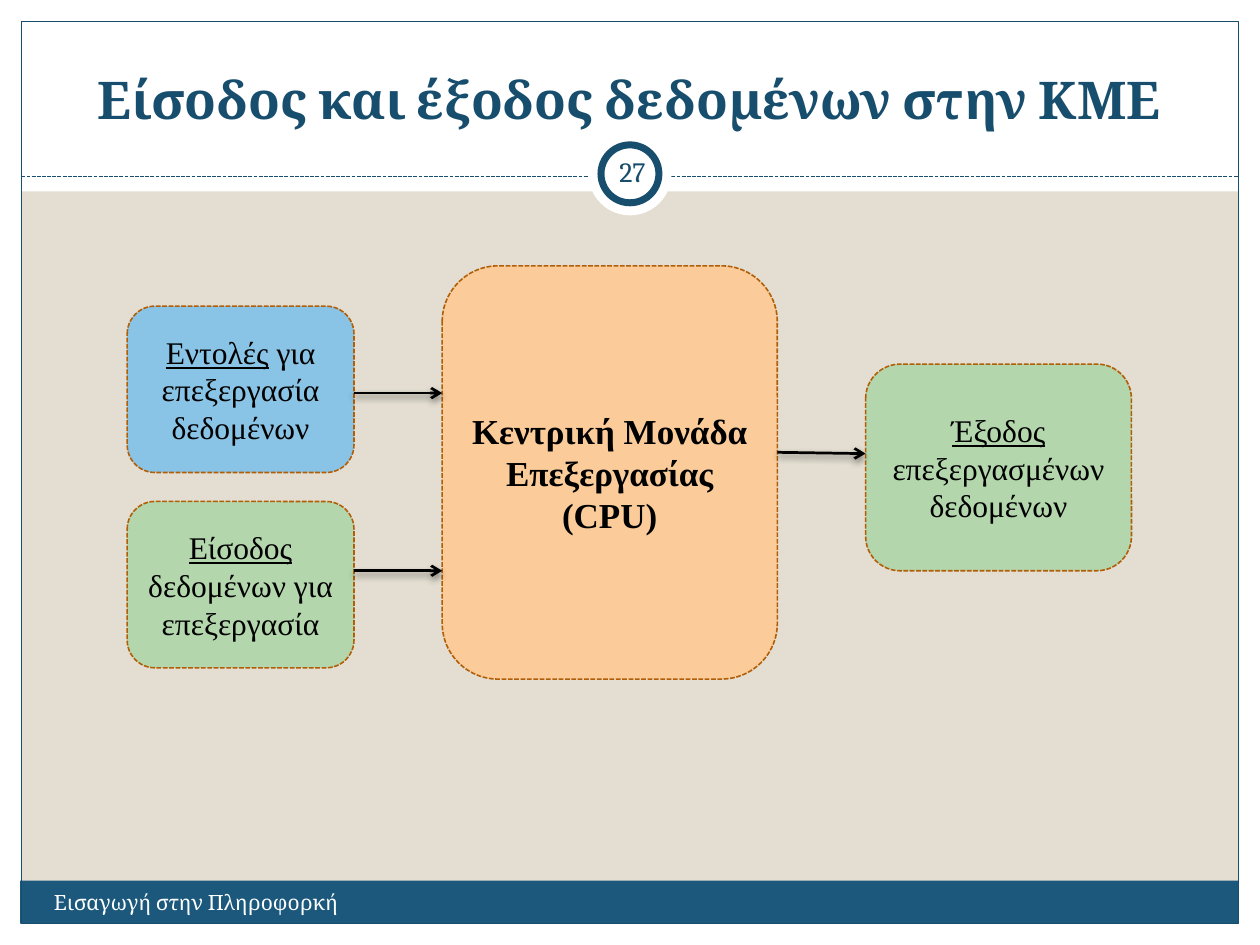
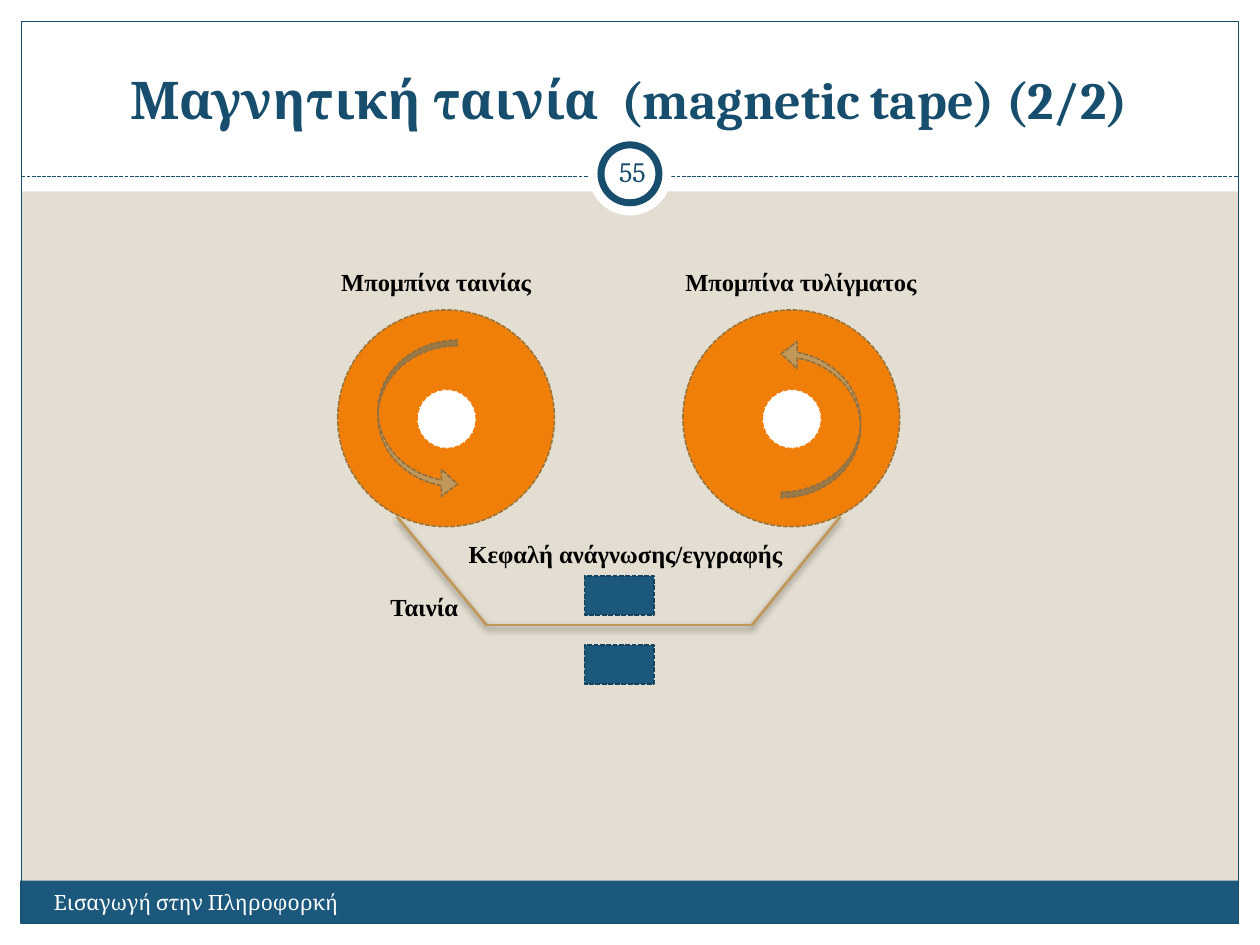
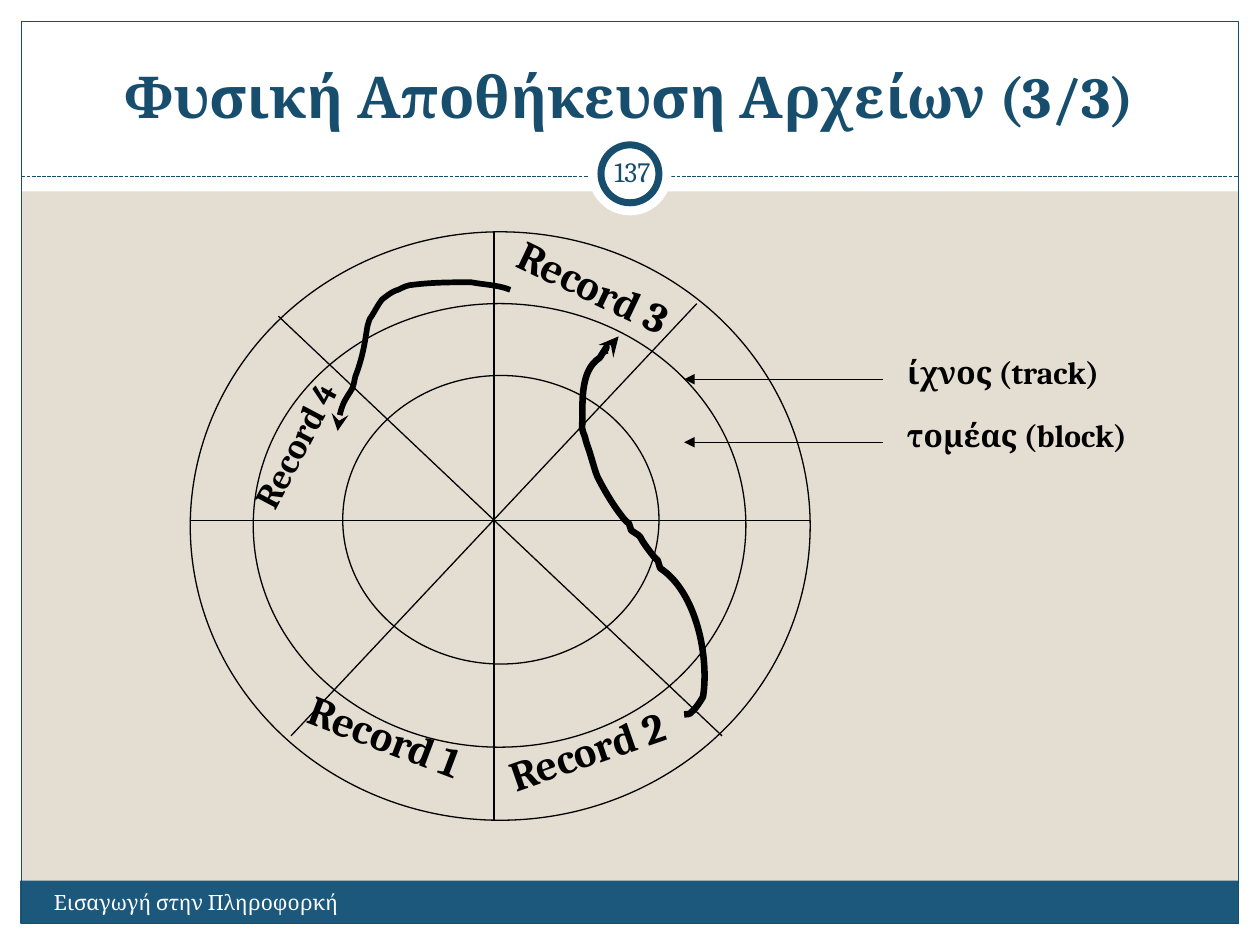
from lxml import etree
from pptx import Presentation
from pptx import util as u
from pptx.dml.color import RGBColor
from pptx.enum import dml, shapes, text
from pptx.oxml import parse_xml
from pptx.oxml.ns import nsdecls, qn

BLACK = RGBColor(0x00, 0x00, 0x00)
WHITE = RGBColor(0xFF, 0xFF, 0xFF)
SAND = RGBColor(0xE3, 0xDE, 0xD1)
NAVY = RGBColor(0x18, 0x4E, 0x6D)
BLUE = RGBColor(0x1B, 0x58, 0x7C)
DARK_BLUE = RGBColor(0x14, 0x41, 0x5C)
SKY = RGBColor(0x89, 0xC3, 0xE5)
GREEN = RGBColor(0xB3, 0xD6, 0xAC)
PEACH = RGBColor(0xFB, 0xCC, 0x9A)
RUST = RGBColor(0xB2, 0x5E, 0x07)
ORANGE = RGBColor(0xF0, 0x7F, 0x09)
TAN = RGBColor(0xC1, 0x98, 0x59)
REEL_EDGE = RGBColor(0x9A, 0x74, 0x3A)
ARROW_EDGE = RGBColor(0x8F, 0x70, 0x42)

SERIF, HEADING = "Times New Roman", "Cambria"
KIND = shapes.MSO_SHAPE
MIDDLE = text.MSO_ANCHOR.MIDDLE
GROW = text.MSO_AUTO_SIZE.SHAPE_TO_FIT_TEXT
CENTER = text.PP_ALIGN.CENTER
DASHED = dml.MSO_LINE.SQUARE_DOT
SOFT_SHADOW = (
    f'<a:effectLst {nsdecls("a")}><a:outerShdw blurRad="50800" dist="25400" dir="5400000">'
    '<a:srgbClr val="000000"><a:alpha val="45000"/></a:srgbClr></a:outerShdw></a:effectLst>'
)


def put(page, kind, at, fill=None, edge=None, weight=0.9, dash=DASHED,
        spans=(), font=None, ink=BLACK, align=None, frame=None):
    place = [u.Inches(value) for value in at]
    if kind is None:
        box = page.shapes.add_textbox(*place)
    else:
        box = page.shapes.add_shape(kind, *place)
        box.shadow.inherit = False
        for paint, color in ((box.fill, fill), (box.line.fill, edge)):
            if color is None:
                paint.background()
            else:
                paint.solid()
                paint.fore_color.rgb = color
        if edge is not None:
            box.line.width = u.Pt(weight)
            box.line.dash_style = dash
    if spans:
        for name, value in {"word_wrap": True, **(frame or {})}.items():
            setattr(box.text_frame, name, value)
        para = box.text_frame.paragraphs[0]
        para.alignment = align
        for words, underline in spans:
            span = para.add_run()
            span.text = words
            for name, value in {**font, "underline": underline}.items():
                setattr(span.font, name, value)
            span.font.color.rgb = ink
    return box


def finish(line, color, weight, tail=None, shadow=False):
    line.line.color.rgb = color
    line.line.width = u.Pt(weight)
    properties = line.element.spPr
    if tail:
        etree.SubElement(properties.find(qn("a:ln")), qn("a:tailEnd"), type=tail)
    properties.append(parse_xml(SOFT_SHADOW if shadow else f'<a:effectLst {nsdecls("a")}/>'))


deck = Presentation()
deck.slide_width, deck.slide_height = u.Inches(10), u.Inches(7.5)
layout = deck.slide_layouts[5]
layout.background.fill.solid()
layout.background.fill.fore_color.rgb = SAND

pages = []
for heading, size, number in (
    ("Είσοδος και έξοδος δεδομένων στην ΚΜΕ", 29.7, "27"),
    ("Μαγνητική ταινία  (magnetic tape) (2/2)", 29.7, "55"),
    ("Φυσική Αποθήκευση Αρχείων (3/3)", 33, "137"),
):
    page = deck.slides.add_slide(layout)
    pages.append(page)
    title = page.shapes.title
    for name, value in {"left": 0.33, "top": 0.25, "width": 9.33, "height": 0.83}.items():
        setattr(title, name, u.Inches(value))
    title.text_frame.text = heading
    title.text_frame.vertical_anchor = text.MSO_ANCHOR.BOTTOM
    title.text_frame.auto_size = text.MSO_AUTO_SIZE.NONE
    para = title.text_frame.paragraphs[0]
    para.alignment = CENTER
    for name, value in {"name": HEADING, "size": u.Pt(size), "bold": True}.items():
        setattr(para.font, name, value)
    para.font.color.rgb = NAVY
    put(page, None, (0.33, 7.01, 3.92, 0.4), spans=[("Εισαγωγή στην Πληροφορκή", None)],
        font={"name": HEADING, "size": u.Pt(12)}, ink=WHITE)
    margins = {f"margin_{side}": u.Inches(0.05) for side in ("left", "right", "top", "bottom")}
    put(page, None, (4.77, 1.12, 0.5, 0.48), spans=[(number, None)], align=CENTER, ink=NAVY,
        font={"name": HEADING, "size": u.Pt(16)}, frame={"vertical_anchor": MIDDLE, **margins})

cpu_page, tape_page, disk_page = pages

bands = [
    put(cpu_page, KIND.RECTANGLE, at, fill)
    for at, fill in (
        ((0, 7.33, 10, 0.17), WHITE),
        ((0, 0, 10, 1.52), WHITE),
        ((0, 0, 0.17, 7.5), WHITE),
        ((9.83, 0, 0.17, 7.5), WHITE),
        ((0.16, 6.99, 9.67, 0.34), BLUE),
    )
]
border = put(cpu_page, KIND.RECTANGLE, (0.17, 0.17, 9.66, 7.16), None, NAVY, 0.75, None)
rule = cpu_page.shapes.add_connector(
    shapes.MSO_CONNECTOR.STRAIGHT, *[u.Inches(value) for value in (0.17, 1.4, 9.83, 1.4)])
finish(rule, NAVY, 0.75)
rule.line.dash_style = DASHED
halo = put(cpu_page, KIND.OVAL, (4.67, 1.05, 0.66, 0.66), WHITE)
ring = put(cpu_page, KIND.OVAL, (4.77, 1.15, 0.46, 0.46), WHITE, NAVY, 4, None)
for part in (*bands, border, rule, halo, ring):
    layout.shapes.element.append(part.element)

for at, fill, size, bold, spans in (
    ((3.51, 2.11, 2.66, 3.28), PEACH, 20, True, [("Κεντρική Μονάδα Επεξεργασίας (CPU)", None)]),
    ((1.01, 2.43, 1.8, 1.32), SKY, 18, False, [("Εντολές", True), (" για επεξεργασία δεδομένων", None)]),
    ((1.01, 3.98, 1.8, 1.32), GREEN, 18, False, [("Είσοδος", True), (" δεδομένων για επεξεργασία", None)]),
    ((6.87, 2.89, 2.11, 1.64), GREEN, 18, False, [("Έξοδος", True), (" επεξεργασμένων δεδομένων", None)]),
):
    put(cpu_page, KIND.ROUNDED_RECTANGLE, at, fill, RUST, spans=spans, align=CENTER,
        font={"name": SERIF, "size": u.Pt(size), "bold": bold}, frame={"vertical_anchor": MIDDLE})

for left, arrow_left, turn in ((2.68, 3, 0), (5.42, 6.2, 180)):
    put(tape_page, KIND.OVAL, (left, 2.46, 1.72, 1.72), ORANGE, REEL_EDGE)
    put(tape_page, KIND.OVAL, (left + 0.63, 3.09, 0.47, 0.47), WHITE, ORANGE)
    arrow = put(tape_page, KIND.CURVED_RIGHT_ARROW, (arrow_left, 2.7, 0.63, 1.25), TAN, ARROW_EDGE)
    arrow.rotation = turn
    for index, value in enumerate((0.07, 0.34, 0.2)):
        arrow.adjustments[index] = value

for at in ((1.51, 1.84, 4.92, 4.67), (2.01, 2.41, 3.91, 3.52), (2.72, 2.98, 2.51, 2.29)):
    put(disk_page, KIND.OVAL, at, None, BLACK, 0.75, None)

for page, color, weight, tail, shadow, routes in (
    (cpu_page, BLACK, 1.57, "arrow", True,
     [(6.17, 3.59, 6.87, 3.6), (2.81, 3.12, 3.51, 3.12), (2.81, 4.53, 3.51, 4.53)]),
    (tape_page, TAN, 1.57, None, True,
     [(3.15, 4.1, 3.86, 4.96), (6.67, 4.1, 5.97, 4.96), (5.97, 4.96, 3.86, 4.96)]),
    (disk_page, BLACK, 0.75, None, False,
     [(3.92, 1.84, 3.92, 6.51), (1.51, 4.13, 6.43, 4.13), (2.21, 2.51, 5.73, 5.84), (2.31, 5.84, 5.53, 2.41)]),
    (disk_page, BLACK, 0.75, "triangle", False,
     [(7.01, 3.51, 5.43, 3.51), (7.01, 3.01, 5.43, 3.01)]),
):
    for route in routes:
        line = page.shapes.add_connector(
            shapes.MSO_CONNECTOR.STRAIGHT, *[u.Inches(value) for value in route])
        finish(line, color, weight, tail, shadow)

for top in (4.57, 5.12):
    put(tape_page, KIND.RECTANGLE, (4.64, top, 0.55, 0.31), BLUE, DARK_BLUE)

for words, left, top, width in (
    ("Μπομπίνα ταινίας", 2.61, 2.07, 1.72),
    ("Μπομπίνα τυλίγματος", 5.34, 2.07, 2.05),
    ("Κεφαλή ανάγνωσης/εγγραφής", 3.62, 4.23, 2.72),
    ("Ταινία", 3, 4.65, 0.75),
):
    put(tape_page, None, (left, top, width, 0.34), spans=[(words, None)],
        font={"name": SERIF, "size": u.Pt(14), "bold": True}, frame={"word_wrap": False, "auto_size": GROW})

for words, at, turn, size in (
    ("Record 1", (2.32, 5.65, 1.81, 0.5), 20.8, 24),
    ("Record 2", (3.91, 5.65, 1.81, 0.5), 340.8, 24),
    ("Record 3", (3.96, 2.09, 1.81, 0.5), 25.5, 24),
    ("Record 4", (1.58, 3.12, 1.72, 0.43), 297.8, 20),
    ("τομέας (block)", (7.1, 3.25, 2, 0.4), 0, 18),
    ("ίχνος (track)", (7.1, 2.75, 2, 0.4), 0, 18),
):
    label = put(disk_page, None, at, spans=[(words, None)], frame={"auto_size": GROW},
                font={"name": HEADING, "size": u.Pt(size), "bold": True})
    label.rotation = turn

for weight, start, curves in (
    (3.75, (5.43, 5.67), [
        ((5.45, 5.67), (5.48, 5.67), (5.49, 5.65)),
        ((5.53, 5.62), (5.58, 5.53), (5.58, 5.53)),
        ((5.63, 5.22), (5.53, 4.7), (5.24, 4.51)),
        ((5.2, 4.39), (5.25, 4.5), (5.16, 4.38)),
        ((5.03, 4.21), (5.13, 4.29), (5.01, 4.21)),
        ((4.97, 4.09), (5.02, 4.21), (4.93, 4.09)),
        ((4.86, 4), (4.79, 3.88), (4.74, 3.78)),
        ((4.71, 3.7), (4.69, 3.61), (4.66, 3.53)),
        ((4.65, 3.51), (4.65, 3.49), (4.64, 3.46)),
        ((4.63, 3.44), (4.62, 3.4), (4.62, 3.4)),
        ((4.63, 3.23), (4.59, 2.95), (4.76, 2.84)),
        ((4.87, 2.67), (4.73, 2.87), (4.87, 2.74)),
        ((4.88, 2.72), (4.91, 2.67), (4.91, 2.67)),
    ]),
    (3.25, (4.05, 2.3), [
        ((3.95, 2.26), (3.84, 2.26), (3.74, 2.24)),
        ((3.59, 2.24), (3.44, 2.24), (3.28, 2.26)),
        ((3.24, 2.26), (3.2, 2.28), (3.16, 2.3)),
        ((3.11, 2.31), (3.03, 2.38), (3.03, 2.38)),
        ((3, 2.42), (2.98, 2.46), (2.95, 2.51)),
        ((2.92, 2.54), (2.91, 2.63), (2.91, 2.63)),
        ((2.89, 2.76), (2.87, 2.86), (2.82, 2.99)),
        ((2.81, 3.03), (2.81, 3.07), (2.78, 3.11)),
        ((2.72, 3.2), (2.68, 3.31), (2.68, 3.42)),
    ]),
):
    builder = disk_page.shapes.build_freeform(*[u.Inches(value) for value in start])
    builder.add_line_segments([[u.Inches(value) for value in curve[-1]] for curve in curves], close=False)
    jump = builder.convert_to_shape()
    for segment, curve in zip(list(jump.element.iter(qn("a:lnTo"))), curves):
        bend = etree.Element(qn("a:cubicBezTo"))
        for x, y in curve:
            etree.SubElement(bend, qn("a:pt"), x=str(u.Inches(x) - jump.left), y=str(u.Inches(y) - jump.top))
        segment.getparent().replace(segment, bend)
    jump.fill.background()
    finish(jump, BLACK, weight, "stealth")

deck.save("out.pptx")
